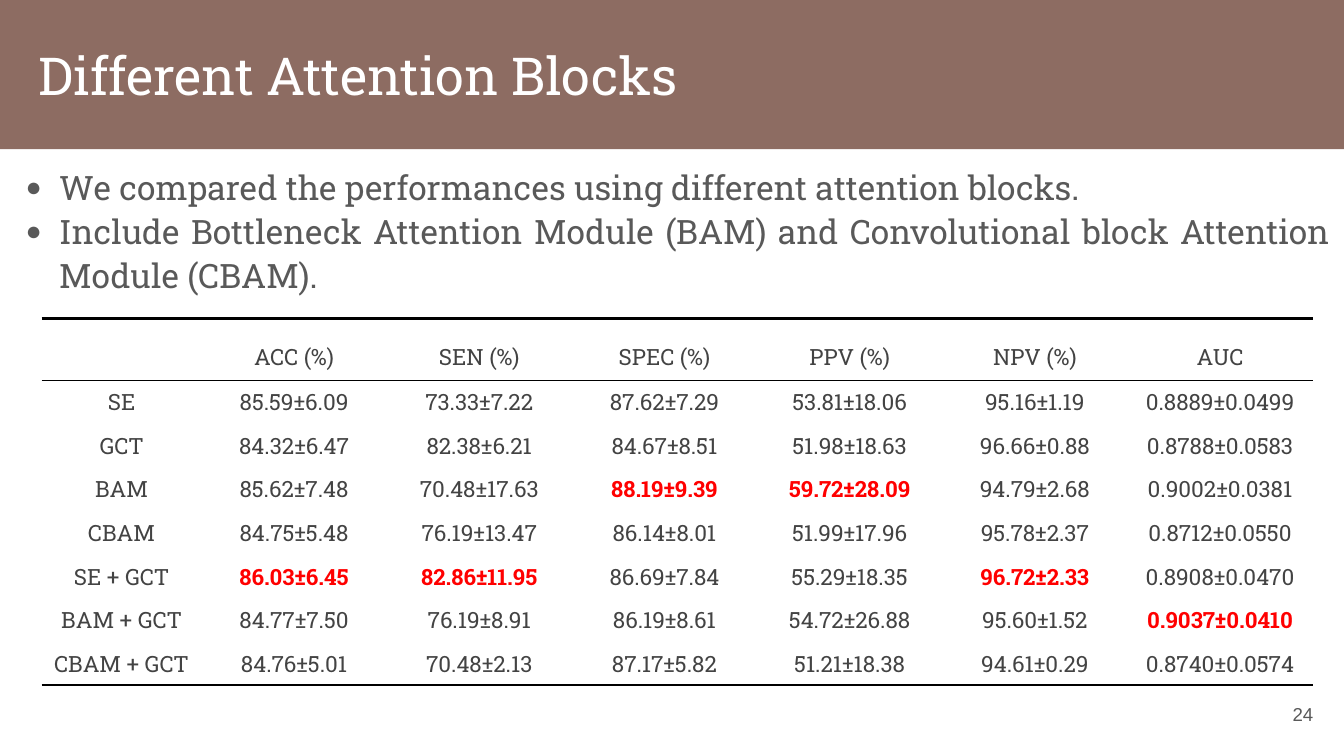
import pptx
import pptx.dml.color
import pptx.enum.text
import pptx.oxml.ns
import pptx.util
from lxml import etree

Inches = pptx.util.Inches
Align = pptx.enum.text.PP_ALIGN
Anchor = pptx.enum.text.MSO_ANCHOR
qn = pptx.oxml.ns.qn


def color(hex_value):
    return pptx.dml.color.RGBColor.from_string(hex_value)


def write(paragraph, text, *, size, fill, font="Roboto Slab", bold=False,
          align=Align.LEFT, spacing=1.0):
    paragraph.alignment = align
    paragraph.line_spacing = spacing
    paragraph.space_before = pptx.util.Pt(0)
    run = paragraph.add_run()
    run.text = text
    run.font.name = font
    run.font.size = pptx.util.Pt(size)
    run.font.bold = bold
    run.font.color.rgb = color(fill)


def add_bullet(paragraph, fill):
    properties = paragraph._p.get_or_add_pPr()
    properties.set("marL", str(Inches(0.25)))
    properties.set("indent", str(-Inches(0.25)))
    bullet_color = etree.SubElement(properties, qn("a:buClr"))
    etree.SubElement(bullet_color, qn("a:srgbClr"), val=fill)
    etree.SubElement(properties, qn("a:buSzPct"), val="80000")
    etree.SubElement(properties, qn("a:buFont"), typeface="Arial")
    etree.SubElement(properties, qn("a:buChar"), char="●")


def set_borders(cell, **widths):
    properties = cell._tc.get_or_add_tcPr()
    for side in "LRTB":
        width = widths.get(side, 0)
        line = etree.SubElement(properties, qn("a:ln" + side), w=str(pptx.util.Pt(width)))
        if width:
            solid = etree.SubElement(line, qn("a:solidFill"))
            etree.SubElement(solid, qn("a:srgbClr"), val="000000")
        else:
            etree.SubElement(line, qn("a:noFill"))


def mean(result):
    return float(result.split("±")[0])


class SlideBuilder:
    BAND = "8D6C62"
    GRAY = "595959"
    CELL = "434343"
    BEST = "FF0000"

    def __init__(self, slide):
        self.slide = slide

    def place(self, shape, box, anchor, left_inset=0.1):
        shape.left, shape.top, shape.width, shape.height = map(Inches, box)
        frame = shape.text_frame
        frame.word_wrap = True
        frame.auto_size = pptx.enum.text.MSO_AUTO_SIZE.NONE
        frame.vertical_anchor = anchor
        frame.margin_left = Inches(left_inset)
        frame.margin_top = frame.margin_right = frame.margin_bottom = Inches(0.1)
        return frame

    def title(self, text, box):
        heading = self.slide.shapes.title
        heading.fill.solid()
        heading.fill.fore_color.rgb = color(self.BAND)
        frame = self.place(heading, box, Anchor.MIDDLE, left_inset=0.29)
        write(frame.paragraphs[0], text, size=28, fill="FFFFFF")

    def bullets(self, points, box):
        frame = self.place(self.slide.placeholders[1], box, Anchor.TOP)
        for index, point in enumerate(points):
            paragraph = frame.add_paragraph() if index else frame.paragraphs[0]
            write(paragraph, point, size=18, fill=self.GRAY, align=Align.JUSTIFY, spacing=1.1)
            add_bullet(paragraph, self.GRAY)

    def page_number(self, text, box):
        shape = self.slide.shapes.add_textbox(*map(Inches, box))
        frame = self.place(shape, box, Anchor.MIDDLE)
        write(frame.paragraphs[0], text, size=10, fill=self.GRAY, font="Arial", align=Align.RIGHT)

    def results_table(self, metrics, results, box, label_width, header_height):
        rows = [["", *metrics], *results]
        best = [None, *(max(column, key=mean) for column in list(zip(*results))[1:])]
        last = len(rows) - 1
        width, height = box[2:]
        table = self.slide.shapes.add_table(len(rows), len(rows[0]), *map(Inches, box)).table
        table.first_row = table.horz_banding = False
        for index, column in enumerate(table.columns):
            column.width = Inches((width - label_width) / len(metrics) if index else label_width)
        for index, row in enumerate(table.rows):
            row.height = Inches((height - header_height) / last if index else header_height)
        edges = {0: {"T": 1.5, "B": 1}, 1: {"T": 1}, last: {"B": 1.5}}
        for r, row in enumerate(rows):
            for c, text in enumerate(row):
                cell = table.cell(r, c)
                set_borders(cell, **edges.get(r, {}))
                cell.fill.background()
                cell.vertical_anchor = Anchor.MIDDLE
                cell.margin_left = cell.margin_right = Inches(0.06)
                cell.margin_top = cell.margin_bottom = 0
                is_best = text == best[c]
                write(cell.text_frame.paragraphs[0], text, size=12, bold=is_best,
                      fill=self.BEST if is_best else self.CELL,
                      align=Align.CENTER, spacing=1.0 if r else 1.5)


METRICS = ["ACC (%)", "SEN (%)", "SPEC (%)", "PPV (%)", "NPV (%)", "AUC"]
RESULTS = [
    ["SE", "85.59±6.09", "73.33±7.22", "87.62±7.29", "53.81±18.06", "95.16±1.19", "0.8889±0.0499"],
    ["GCT", "84.32±6.47", "82.38±6.21", "84.67±8.51", "51.98±18.63", "96.66±0.88", "0.8788±0.0583"],
    ["BAM", "85.62±7.48", "70.48±17.63", "88.19±9.39", "59.72±28.09", "94.79±2.68", "0.9002±0.0381"],
    ["CBAM", "84.75±5.48", "76.19±13.47", "86.14±8.01", "51.99±17.96", "95.78±2.37", "0.8712±0.0550"],
    ["SE + GCT", "86.03±6.45", "82.86±11.95", "86.69±7.84", "55.29±18.35", "96.72±2.33", "0.8908±0.0470"],
    ["BAM + GCT", "84.77±7.50", "76.19±8.91", "86.19±8.61", "54.72±26.88", "95.60±1.52", "0.9037±0.0410"],
    ["CBAM + GCT", "84.76±5.01", "70.48±2.13", "87.17±5.82", "51.21±18.38", "94.61±0.29", "0.8740±0.0574"],
]


def main():
    deck = pptx.Presentation()
    deck.slide_width, deck.slide_height = Inches(10), Inches(10 * 9 / 16)
    builder = SlideBuilder(deck.slides.add_slide(deck.slide_layouts[1]))
    builder.title("Different Attention Blocks", (0, 0, 10, 1.11))
    builder.bullets([
        "We compared the performances using different attention blocks.",
        "Include Bottleneck Attention Module (BAM) and Convolutional block Attention Module (CBAM).",
    ], (0.09, 1.11, 9.91, 0.93))
    builder.page_number("24", (9.27, 5.1, 0.6, 0.43))
    builder.results_table(METRICS, RESULTS, (0.31, 2.37, 9.46, 2.73),
                          label_width=1.19, header_height=0.46)
    deck.save("out.pptx")


if __name__ == "__main__":
    main()
